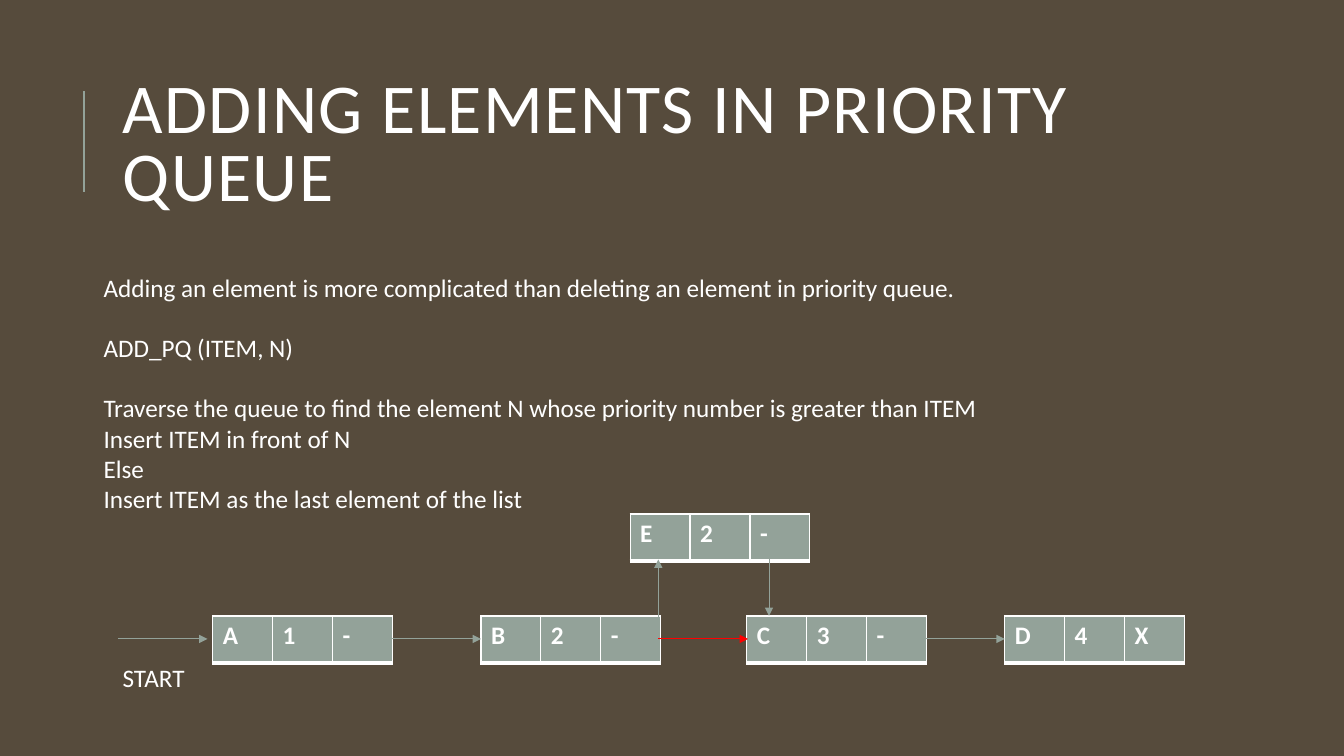
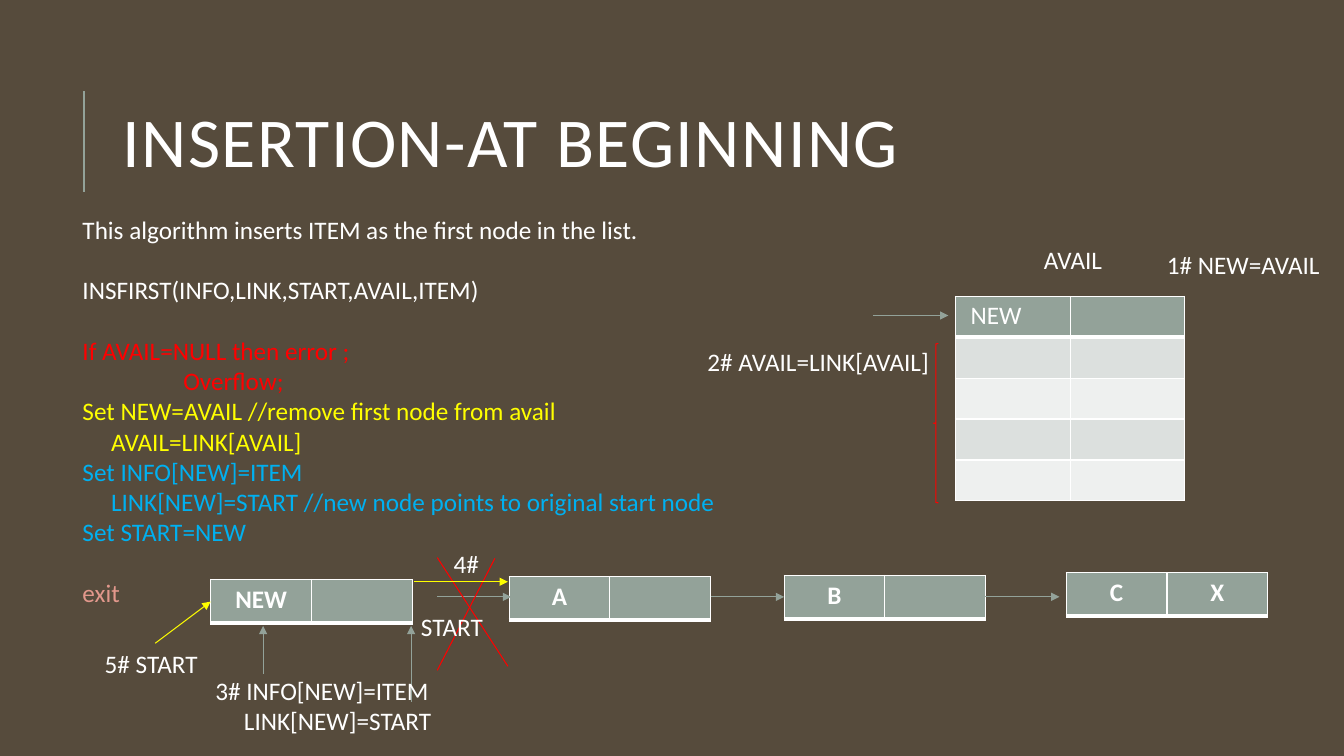
from dataclasses import dataclass
from typing import NamedTuple, Optional

from lxml.etree import SubElement
from pptx import Presentation
from pptx.dml.color import RGBColor
from pptx.enum.shapes import MSO_CONNECTOR, MSO_SHAPE
from pptx.enum.text import MSO_ANCHOR, PP_ALIGN
from pptx.oxml.ns import qn
from pptx.slide import Slide
from pptx.util import Cm, Pt


@dataclass(frozen=True)
class Theme:
    font: str = "Calibri"
    title_size: float = 50
    text_size: float = 18
    blank_line: float = 21.5
    thin: float = 0.75
    background: str = "564B3C"
    accent: str = "93A299"
    white: str = "FFFFFF"
    red: str = "FF0000"
    yellow: str = "FFFF00"
    blue: str = "00B0F0"
    pink: str = "E2988C"
    band_dark: str = "DCE0DE"
    band_light: str = "EEF0EF"


THEME = Theme()


# All lengths in these records are centimetres.
class Line(NamedTuple):
    text: str
    color: str = THEME.white
    indent: float = 0
    gap: bool = False  # leave one line free above


class Label(NamedTuple):
    text: str
    left: float
    top: float
    width: float


class Arrow(NamedTuple):
    x1: float
    y1: float
    x2: float
    y2: float
    color: str = THEME.accent
    head: bool = True


class Node(NamedTuple):
    fields: tuple[str, ...]
    left: float
    top: float


class NodeStyle(NamedTuple):
    cell_width: float
    height: float
    align: PP_ALIGN


PRIORITY_NODE = NodeStyle(1.51, 1.19, PP_ALIGN.LEFT)
LIST_NODE = NodeStyle(2.54, 1.09, PP_ALIGN.CENTER)
AVAIL_NODE = NodeStyle(2.89, 1.03, PP_ALIGN.LEFT)


def style_font(font, color: str, size: float = THEME.text_size,
               bold: Optional[bool] = None) -> None:
    font.name, font.size, font.bold = THEME.font, Pt(size), bold
    font.color.rgb = RGBColor.from_string(color)


def add_text(page: Slide, lines: list[Line], left: float, top: float,
             width: float, height: float, wrap: bool = True) -> None:
    box = page.shapes.add_textbox(Cm(left), Cm(top), Cm(width), Cm(height))
    frame = box.text_frame
    frame.word_wrap = wrap
    for index, line in enumerate(lines):
        para = frame.paragraphs[0] if index == 0 else frame.add_paragraph()
        para.text = line.text
        style_font(para.font, line.color)
        if line.gap:
            para.space_before = Pt(THEME.blank_line)
        if line.indent:
            properties = para._p.get_or_add_pPr()
            properties.set("marL", str(Cm(line.indent)))
            properties.set("indent", "0")


def add_labels(page: Slide, labels: list[Label]) -> None:
    for label in labels:
        add_text(page, [Line(label.text)], label.left, label.top,
                 label.width, 1.02, wrap=False)


def add_line(page: Slide, arrow: Arrow, weight: float = THEME.thin) -> None:
    connector = page.shapes.add_connector(
        MSO_CONNECTOR.STRAIGHT,
        Cm(arrow.x1), Cm(arrow.y1), Cm(arrow.x2), Cm(arrow.y2))
    connector.line.color.rgb = RGBColor.from_string(arrow.color)
    connector.line.width = Pt(weight)
    if arrow.head:
        SubElement(connector.line._get_or_add_ln(), qn("a:tailEnd"), type="triangle")
    SubElement(connector._element.spPr, qn("a:effectLst"))


def style_cell(cell, fill: str, bottom: float) -> None:
    properties = cell._tc.get_or_add_tcPr()
    for side, weight in (("L", 1), ("R", 1), ("T", 1), ("B", bottom)):
        border = SubElement(properties, qn(f"a:ln{side}"), w=str(Pt(weight)))
        solid = SubElement(border, qn("a:solidFill"))
        SubElement(solid, qn("a:srgbClr"), val=THEME.white)
    cell.fill.solid()
    cell.fill.fore_color.rgb = RGBColor.from_string(fill)


def add_node(page: Slide, node: Node, style: NodeStyle,
             body_fills: tuple[str, ...] = ()) -> None:
    """Draw a header row of fields, with an empty row for each body fill."""
    fills = (THEME.accent, *body_fills)
    count = len(node.fields)
    table = page.shapes.add_table(
        len(fills), count, Cm(node.left), Cm(node.top),
        Cm(style.cell_width * count), Cm(style.height * len(fills))).table
    for row, fill in enumerate(fills):
        for column in range(count):
            style_cell(table.cell(row, column), fill, bottom=1 if row else 3)
    for column, text in enumerate(node.fields):
        if text:
            para = table.cell(0, column).text_frame.paragraphs[0]
            para.text = text
            para.alignment = style.align
            style_font(para.font, THEME.white, bold=True)


def add_page(deck, title: str) -> Slide:
    page = deck.slides.add_slide(deck.slide_layouts[6])
    page.background.fill.solid()
    page.background.fill.fore_color.rgb = RGBColor.from_string(THEME.background)
    add_line(page, Arrow(2.11, 4.83, 2.11, 2.29, head=False), weight=1.5)
    box = page.shapes.add_textbox(Cm(2.84), Cm(1.63), Cm(27), Cm(4.17))
    frame = box.text_frame
    frame.word_wrap = True
    frame.vertical_anchor = MSO_ANCHOR.MIDDLE
    para = frame.paragraphs[0]
    para.line_spacing = 0.8
    style_font(para.font, THEME.white, THEME.title_size)
    span = para.add_run()
    span.text = title
    span._r.get_or_add_rPr().set("spc", "100")
    return page


def build_priority_queue(deck) -> None:
    page = add_page(deck, "ADDING ELEMENTS IN PRIORITY QUEUE")
    add_text(page, [
        Line("Adding an element is more complicated than deleting an element "
             "in priority queue."),
        Line("ADD_PQ (ITEM, N)", gap=True),
        Line("Traverse the queue to find the element N whose priority number "
             "is greater than ITEM", gap=True),
        Line("Insert ITEM in front of N"),
        Line("Else"),
        Line("Insert ITEM as the last element of the list"),
    ], 2.36, 6.73, 30.1, 7.19)

    # Queue and the element being added
    queue_top, link_y = 15.52, 16.1
    for node in (
        Node(("A", "1", "-"), 5.36, queue_top),
        Node(("B", "2", "-"), 12.12, queue_top),
        Node(("C", "3", "-"), 18.82, queue_top),
        Node(("D", "4", "X"), 25.32, queue_top),
        Node(("E", "2", "-"), 15.88, 12.95),
    ):
        add_node(page, node, PRIORITY_NODE)

    # Links
    for arrow in (
        Arrow(2.97, link_y, 5.23, link_y),
        Arrow(9.83, link_y, 12.12, link_y),
        Arrow(16.59, link_y, 18.85, link_y, THEME.red),
        Arrow(23.06, link_y, 25.32, link_y),
        Arrow(16.59, 15.62, 16.59, 14.1),
        Arrow(19.38, 14, 19.38, queue_top),
    ):
        add_line(page, arrow)
    add_labels(page, [Label("START", 2.84, 16.56, 2.3)])


def build_insertion(deck) -> None:
    page = add_page(deck, "INSERTION-AT BEGINNING")
    add_text(page, [
        Line("This algorithm inserts ITEM as the first node in the list."),
        Line("INSFIRST(INFO,LINK,START,AVAIL,ITEM)", gap=True),
        Line("If AVAIL=NULL then error ;", THEME.red, gap=True),
        Line("Overflow;", THEME.red, indent=2.54),
        Line("Set NEW=AVAIL //remove first node from avail", THEME.yellow),
        Line("AVAIL=LINK[AVAIL]", THEME.yellow, indent=0.72),
        Line("Set INFO[NEW]=ITEM", THEME.blue),
        Line("LINK[NEW]=START //new node points to original start node",
             THEME.blue, indent=0.72),
        Line("Set START=NEW", THEME.blue),
        Line("exit", THEME.pink, gap=True),
    ], 1.83, 5.28, 30.28, 10.26)

    # Linked list
    for node in (
        Node(("NEW", ""), 5.31, 14.6),
        Node(("A", ""), 12.83, 14.53),
        Node(("B", ""), 19.76, 14.5),
        Node(("C", "X"), 26.87, 14.43),
    ):
        add_node(page, node, LIST_NODE)

    # Free list with its brace
    add_node(page, Node(("", ""), 24.08, 7.47), AVAIL_NODE,
             (THEME.band_dark, THEME.band_light) * 2)
    brace = page.shapes.add_shape(
        MSO_SHAPE.LEFT_BRACE, Cm(23.52), Cm(8.66), Cm(0.13), Cm(4.01))
    brace.shadow.inherit = False
    brace.fill.background()
    brace.line.color.rgb = RGBColor.from_string(THEME.red)
    brace.line.width = Pt(THEME.thin)

    # Links, the crossed-out start link and the step pointers
    link_y = 15.04
    for arrow in (
        Arrow(17.91, link_y, 19.76, link_y),
        Arrow(24.77, link_y, 26.7, link_y),
        Arrow(11.02, link_y, 12.88, link_y),
        Arrow(22, 7.95, 23.9, 7.95),
        Arrow(6.63, 16.99, 6.63, 15.77),
        Arrow(10.36, 17.68, 10.36, 15.77),
        Arrow(12.47, 14.07, 11.02, 16.89, THEME.red, head=False),
        Arrow(11.02, 14.05, 12.8, 16.79, THEME.red, head=False),
        Arrow(3.91, 16.21, 5.31, 15.16, THEME.yellow),
        Arrow(10.44, 14.66, 12.8, 14.66, THEME.yellow),
    ):
        add_line(page, arrow)

    # Step labels
    add_labels(page, [
        Label("START", 10.36, 15.29, 2.3),
        Label("AVAIL", 26.06, 6.02, 2.4),
        Label("NEW", 24.21, 7.42, 2.1),
        Label("1# NEW=AVAIL", 29.16, 6.17, 4.7),
        Label("2# AVAIL=LINK[AVAIL]", 17.58, 8.61, 6.32),
        Label("4#", 11.18, 13.69, 1.5),
        Label("5# START", 2.39, 16.21, 3.05),
    ])
    add_text(page, [Line("3# INFO[NEW]=ITEM"),
                    Line("LINK[NEW]=START", indent=0.72)],
             5.18, 16.89, 7.26, 1.78)


def main() -> None:
    deck = Presentation()
    deck.slide_width, deck.slide_height = Cm(33.87), Cm(19.05)
    build_priority_queue(deck)
    build_insertion(deck)
    deck.save("out.pptx")


if __name__ == "__main__":
    main()
